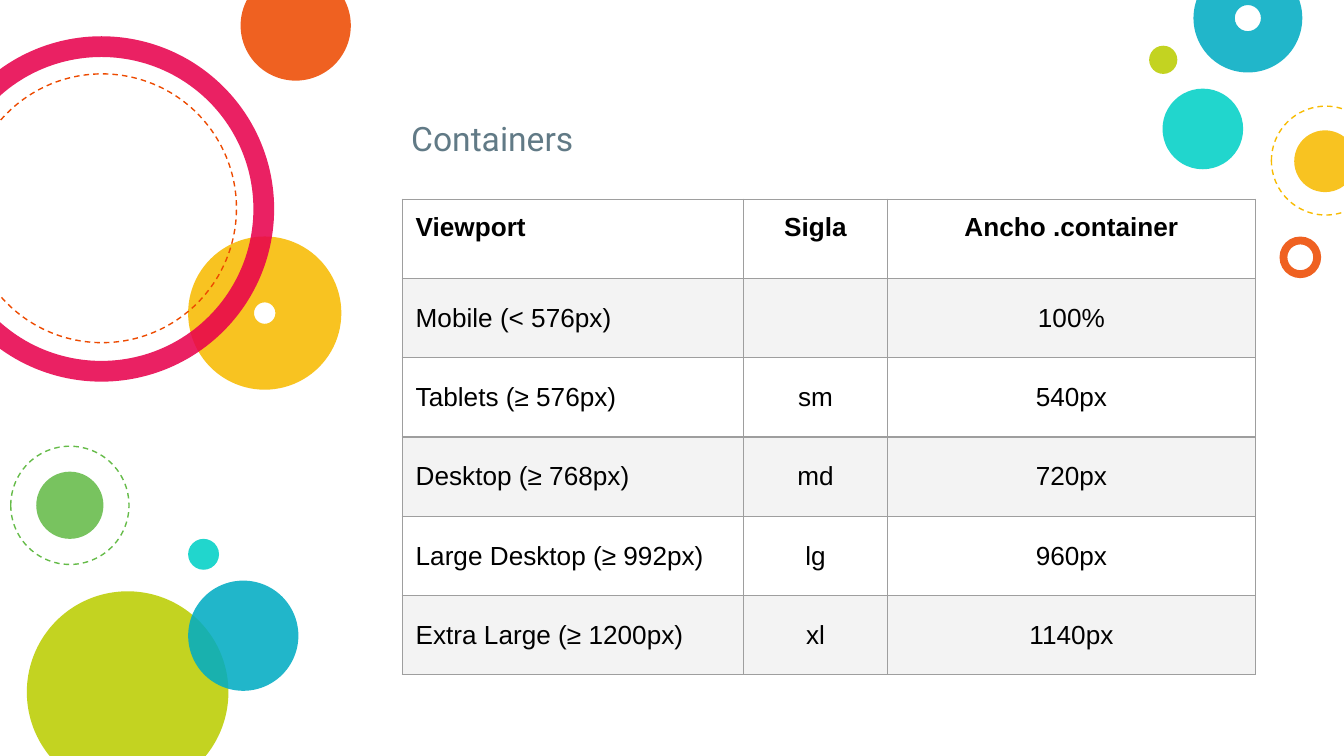
import pptx
import pptx.util
import pptx.dml.color
import pptx.enum.dml
import pptx.enum.shapes
import pptx.enum.text
import pptx.oxml.ns
from lxml import etree

RGBColor = pptx.dml.color.RGBColor
MSO_SHAPE = pptx.enum.shapes.MSO_SHAPE
PP_ALIGN = pptx.enum.text.PP_ALIGN
MSO_ANCHOR = pptx.enum.text.MSO_ANCHOR
qn = pptx.oxml.ns.qn

TURQUOISE = RGBColor(0x00, 0xD1, 0xC6)
LIME = RGBColor(0xBB, 0xCD, 0x00)
GREEN = RGBColor(0x65, 0xBB, 0x48)
YELLOW = RGBColor(0xF8, 0xBB, 0x00)
ORANGE = RGBColor(0xED, 0x4A, 0x00)
PINK = RGBColor(0xE8, 0x00, 0x4C)
BLUE = RGBColor(0x00, 0xAC, 0xC3)
SLATE = RGBColor(0x61, 0x7A, 0x86)
BLACK = RGBColor(0x00, 0x00, 0x00)
BAND = RGBColor(0xF3, 0xF3, 0xF3)
BORDER = RGBColor(0x9E, 0x9E, 0x9E)

WIDTH = pptx.util.Inches(10)
HEIGHT = WIDTH * 9 // 16
INSET = 1
OPACITY = 87

DISC, RING, DASHED = "disc", "ring", "dashed"
CIRCLES = [
    (DISC, 14, 40.1, 2.3, TURQUOISE, 0),
    (DISC, 2, 44, 15, LIME, 0),
    (DISC, 2.7, 35.1, 5, GREEN, 0),
    (DASHED, 0.8, 33.2, 8.8, GREEN, 0),
    (RING, 14, 17.6, 11.4, YELLOW, 0.43),
    (DISC, 17.9, -2.2, 8.2, ORANGE, 0),
    (RING, -5.3, 2.7, 25.7, PINK, 0.06),
    (DASHED, -2.4, 5.5, 20, ORANGE, 0),
    (DISC, 14, 43.2, 8.2, BLUE, 0),
    (DISC, 86.5, 6.6, 6, TURQUOISE, 0),
    (RING, 95.2, 17.6, 3.1, ORANGE, 0.19),
    (DISC, 96.3, 9.7, 4.6, YELLOW, 0),
    (RING, 88.8, -2.7, 8.1, BLUE, 0.38),
    (DISC, 85.5, 3.4, 2.1, LIME, 0),
    (DASHED, 94.6, 7.9, 8.1, YELLOW, 0),
]

COLUMNS = [25.4, 10.7, 27.4]
ROW = 5.9
ROWS = [
    ("Viewport", "Sigla", "Ancho .container"),
    ("Mobile (< 576px)", "", "100%"),
    ("Tablets (≥ 576px)", "sm", "540px"),
    ("Desktop (≥ 768px)", "md", "720px"),
    ("Large Desktop (≥ 992px)", "lg", "960px"),
    ("Extra Large (≥ 1200px)", "xl", "1140px"),
]


def share(percent):
    return round(WIDTH * percent / 100)


def style_font(font, name, size, color, bold=False):
    font.name = name
    font.size = pptx.util.Pt(size)
    font.color.rgb = color
    font.bold = bold


def add_circle(s, kind, left, top, size, color, thickness):
    preset = MSO_SHAPE.DONUT if kind == RING else MSO_SHAPE.OVAL
    sp = s.shapes.add_shape(preset, share(left), share(top), share(size), share(size))
    sp.shadow.inherit = False
    if kind == DASHED:
        sp.fill.background()
        sp.line.color.rgb = color
        sp.line.width = pptx.util.Pt(0.75)
        sp.line.dash_style = pptx.enum.dml.MSO_LINE.DASH
        return
    if kind == RING:
        sp.adjustments[0] = thickness
    sp.fill.solid()
    sp.fill.fore_color.rgb = color
    rgb = sp.fill._xPr.find(qn("a:solidFill")).find(qn("a:srgbClr"))
    etree.SubElement(rgb, qn("a:alpha"), val=str(OPACITY * 1000))
    sp.line.fill.background()


def set_insets(box):
    box.margin_left = box.margin_right = share(INSET)
    box.margin_top = box.margin_bottom = share(INSET)


def add_borders(cell):
    tcPr = cell._tc.get_or_add_tcPr()
    for side in ("a:lnL", "a:lnR", "a:lnT", "a:lnB"):
        ln = etree.SubElement(tcPr, qn(side), w=str(pptx.util.Pt(0.75)))
        fill = etree.SubElement(ln, qn("a:solidFill"))
        etree.SubElement(fill, qn("a:srgbClr"), val=str(BORDER))


def fill_cell(cell, text, row, column):
    add_borders(cell)
    set_insets(cell)
    cell.vertical_anchor = MSO_ANCHOR.MIDDLE if row else MSO_ANCHOR.TOP
    if row % 2:
        cell.fill.solid()
        cell.fill.fore_color.rgb = BAND
    else:
        cell.fill.background()
    p = cell.text_frame.paragraphs[0]
    p.text = text
    p.alignment = PP_ALIGN.CENTER if column else PP_ALIGN.LEFT
    for r in p.runs:
        style_font(r.font, "Arial", 14, BLACK, row == 0)


def add_container_table(s):
    frame = s.shapes.add_table(len(ROWS), len(COLUMNS), share(29.93), share(14.83),
                               share(sum(COLUMNS)), share(ROW * len(ROWS)))
    table = frame.table
    table.first_row = False
    table.horz_banding = False
    for column, width in zip(table.columns, COLUMNS):
        column.width = share(width)
    for i, texts in enumerate(ROWS):
        table.rows[i].height = share(ROW)
        for j, text in enumerate(texts):
            fill_cell(table.cell(i, j), text, i, j)


def set_title(s, text):
    sp = s.shapes.title
    sp.left, sp.top, sp.width, sp.height = map(share, (29.6, 5.8, 57.7, 7))
    tf = sp.text_frame
    tf.text = text
    tf.word_wrap = True
    tf.auto_size = pptx.enum.text.MSO_AUTO_SIZE.NONE
    tf.vertical_anchor = MSO_ANCHOR.BOTTOM
    set_insets(tf)
    p = tf.paragraphs[0]
    p.alignment = PP_ALIGN.LEFT
    style_font(p.runs[0].font, "Roboto", 18, SLATE)


def main():
    prs = pptx.Presentation()
    prs.slide_width, prs.slide_height = WIDTH, HEIGHT
    s = prs.slides.add_slide(prs.slide_layouts[5])
    for circle in CIRCLES:
        add_circle(s, *circle)
    add_container_table(s)
    set_title(s, "Containers")
    prs.save("out.pptx")


if __name__ == "__main__":
    main()
